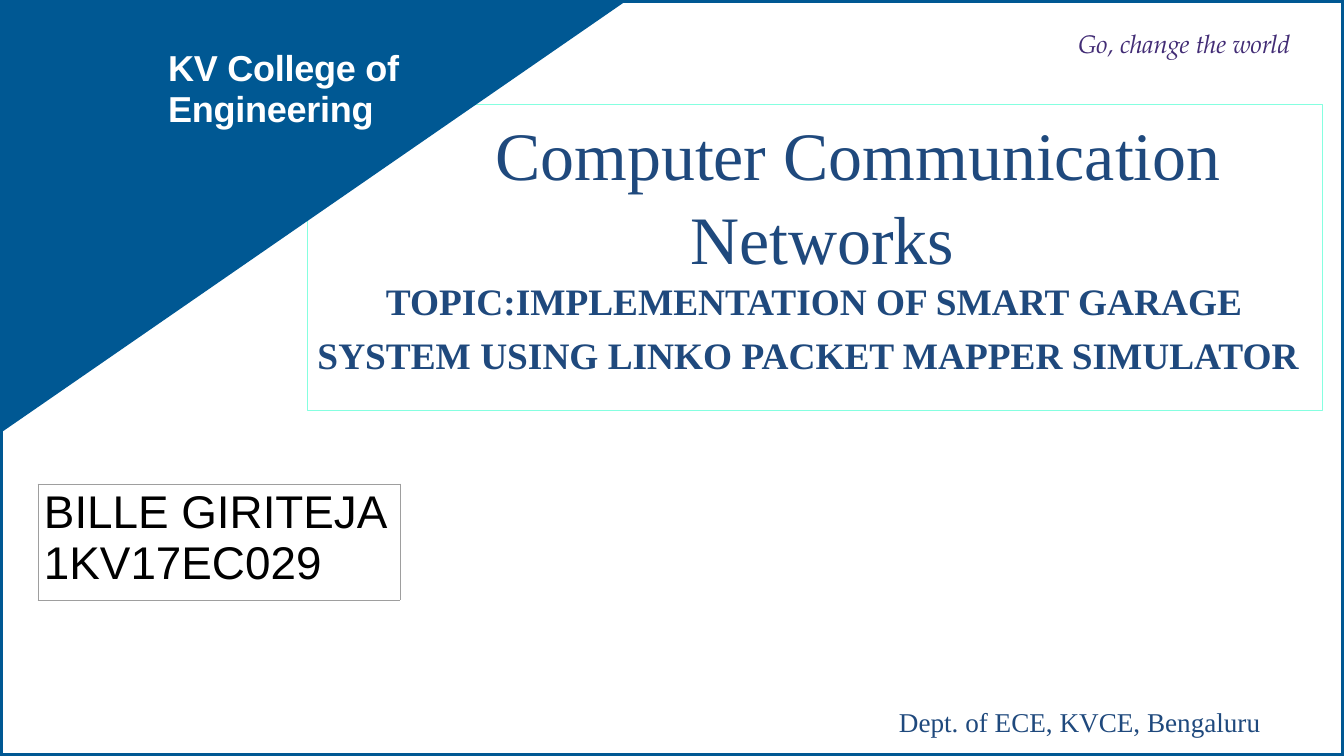
from lxml.etree import SubElement
from pptx import Presentation
from pptx.dml.color import RGBColor
from pptx.enum.shapes import MSO_SHAPE
from pptx.enum.text import MSO_ANCHOR, PP_ALIGN
from pptx.oxml.ns import qn
from pptx.util import Pt

PX = 14966
BLUE, NAVY = "005893", "1F497D"
SERIF = "Times New Roman"


def color(code):
    return RGBColor.from_string(code)


def write(frame, insets, lines):
    frame.word_wrap = True
    frame.vertical_anchor = MSO_ANCHOR.TOP
    for side, inset in zip(("left", "top", "right", "bottom"), insets):
        setattr(frame, "margin_" + side, inset * PX)
    for i, (layout, indent, runs) in enumerate(lines):
        para = frame.add_paragraph() if i else frame.paragraphs[0]
        for key, value in layout.items():
            setattr(para, key, value)
        para._p.get_or_add_pPr().set("marL", str(indent * PX))
        for text, hue, space, font in runs:
            run = para.add_run()
            run.text = text
            for key, value in font.items():
                setattr(run.font, key, value)
            run.font.color.rgb = color(hue)
            run._r.get_or_add_rPr().set("spc", str(space))


deck = Presentation()
deck.slide_width, deck.slide_height = 1344 * PX, 756 * PX
slide = deck.slides.add_slide(deck.slide_layouts[6])
shapes = slide.shapes

panels = []
for spot, fill, line, weight in (
    ((0, 0, 1344, 756), "FFFFFF", BLUE, 6),
    ((307, 104, 1015, 306), None, "85FFE0", 0.75),
):
    panel = shapes.add_shape(MSO_SHAPE.RECTANGLE, *[n * PX for n in spot])
    panel.shadow.inherit = False
    if fill:
        panel.fill.solid()
        panel.fill.fore_color.rgb = color(fill)
    else:
        panel.fill.background()
    panel.line.color.rgb = color(line)
    panel.line.width = Pt(weight)
    panels.append(panel)

center = {"alignment": PP_ALIGN.CENTER}
head = {"name": SERIF, "size": Pt(80)}
topic = {"name": SERIF, "size": Pt(44), "bold": True}
write(panels[1].text_frame, (0, 9, 0, 0), [
    (center, 88, [("Computer Communication", NAVY, 0, head)]),
    (center | {"space_before": Pt(3)}, 16, [("Networks", NAVY, 0, head)]),
    (center, 0, [
        ("TOPIC:IMPLEMENTATION OF SMART GARAGE SYSTEM USING LINKO PACKET MAPPER SIMULATOR",
         NAVY, 0, topic),
        (" ", NAVY, 0, topic | {"size": Pt(54)}),
    ]),
])

pen = shapes.build_freeform(626, 1, scale=PX)
pen.add_line_segments([(-1, 1), (-1, 434)], close=True)
corner = pen.convert_to_shape()
corner.shadow.inherit = False
corner.fill.solid()
corner.fill.fore_color.rgb = color(BLUE)
corner.line.fill.background()

school = {"name": "Arial", "size": Pt(42.5), "bold": True}
tight = {"line_spacing": Pt(47), "space_before": Pt(1)}
motto = {"name": "TeX Gyre Pagella", "size": Pt(30), "italic": True}
dept = {"name": SERIF, "size": Pt(32)}
for spot, insets, lines in (
    ((167, 48, 255, 82), (0, 1, 0, 0), [
        (tight, 1, [(text, "FFFFFF", -30, school)])
        for text in ("KV College of", "Engineering")
    ]),
    ((1077, 27, 227, 32), (0, 1, 0, 0), [
        ({"space_before": Pt(1)}, 1, [
            (text, "422C75", space, motto)
            for text, space in (("Go, change ", -10), ("the ", 0), ("world", -10))
        ]),
    ]),
    ((857, 699, 459, 76), (12, 6, 12, 6), [
        ({"space_before": Pt(8)}, 30,
         [("Dept. of ECE, KVCE, Bengaluru", NAVY, 0, dept)]),
    ]),
):
    box = shapes.add_textbox(*[n * PX for n in spot])
    write(box.text_frame, insets, lines)

table = shapes.add_table(1, 1, 38 * PX, 484 * PX, 362 * PX, 116 * PX).table
table.first_row = table.horz_banding = False
cell = table.cell(0, 0)
author = {"name": "Arial", "size": Pt(54), "bold": False}
write(cell.text_frame, (6, 3, 6, 3), [
    ({}, 0, [(text, "000000", 0, author)])
    for text in ("BILLE GIRITEJA", "1KV17EC029")
])
for side, inset in (("left", 6), ("top", 3), ("right", 6), ("bottom", 3)):
    setattr(cell, "margin_" + side, inset * PX)
props = cell._tc.get_or_add_tcPr()
for side in ("lnL", "lnR", "lnT", "lnB"):
    edge = SubElement(props, qn("a:" + side), w=str(Pt(0.75)))
    SubElement(SubElement(edge, qn("a:solidFill")), qn("a:srgbClr"), val="9E9E9E")
cell.fill.background()

deck.save("out.pptx")
